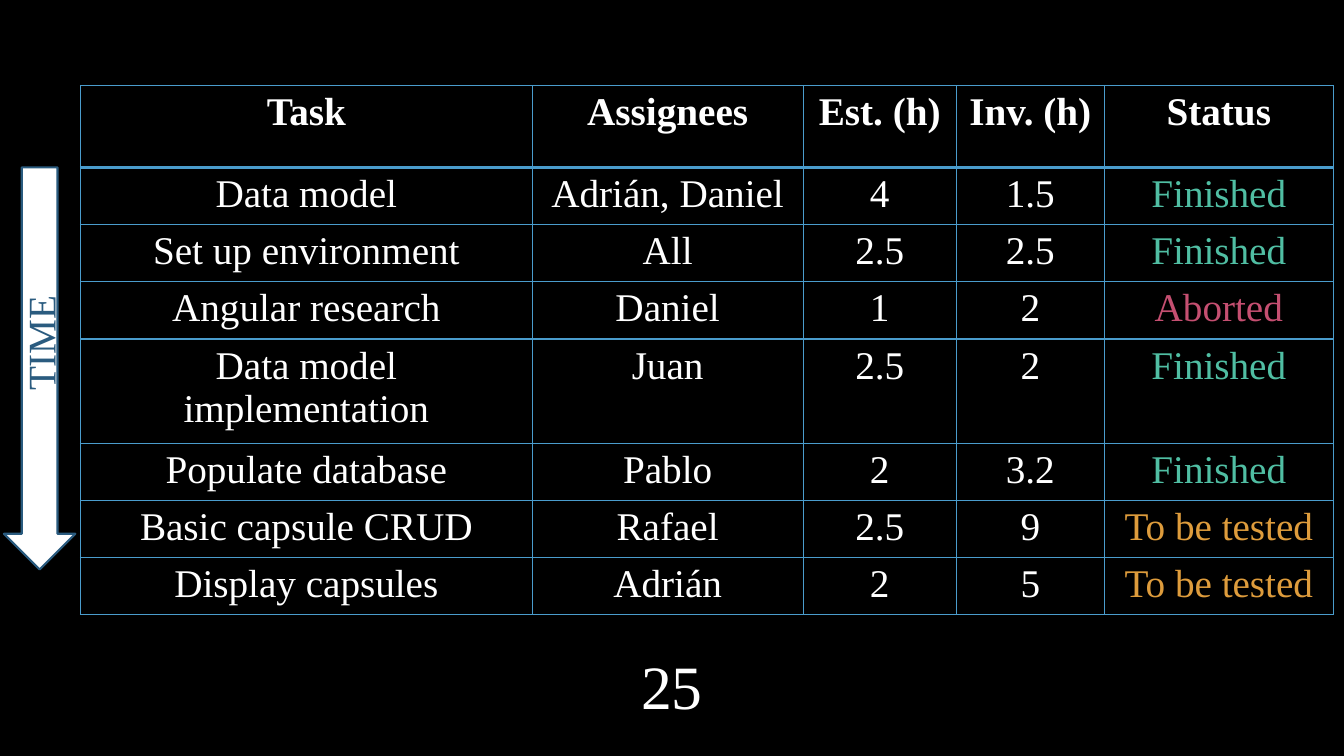
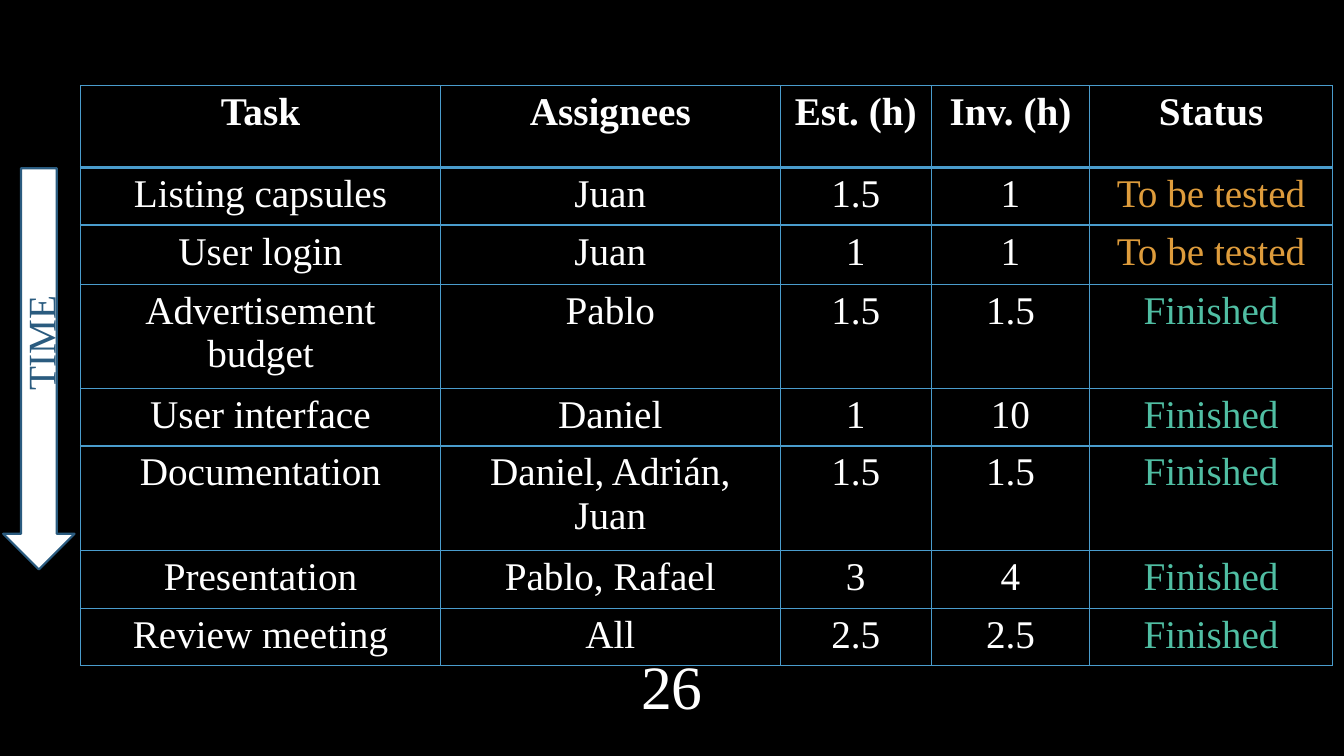
from lxml import etree
from pptx import Presentation
from pptx.dml.color import RGBColor
from pptx.enum.shapes import MSO_SHAPE as Shape
from pptx.enum.text import MSO_ANCHOR as Anchor, PP_ALIGN as Align
from pptx.oxml.ns import qn
from pptx.util import Cm, Pt

FONT = "Times New Roman"
BLACK, WHITE, GRID, NAVY = "000000", "FFFFFF", "4A9CCC", "2A5B7F"
STATUS_COLORS = {"Finished": "50BEA3", "Aborted": "C54F71", "To be tested": "DE9C3C"}
HEADER = ("Task", "Assignees", "Est. (h)", "Inv. (h)", "Status")

TABLE_BOX = (2.03, 2.16, 31.55, 12.99)
NUMBER_BOX = (15.32, 16.54, 3.23, 1.42)
TIME_BOX = (-0.84, 7.52, 3.71, 1.45)

SPRINTS = [
    {
        "number": "25",
        "arrow_box": (0.1, 4.22, 1.8, 10.13),
        "widths": (11.38, 6.83, 3.86, 3.73, 5.77),
        "heights": (2.06, 1.37, 1.4, 1.4, 2.44, 1.44, 1.44, 1.44),
        "tasks": [
            ("Data model", "Adrián, Daniel", "4", "1.5", "Finished"),
            ("Set up environment", "All", "2.5", "2.5", "Finished"),
            ("Angular research", "Daniel", "1", "2", "Aborted"),
            ("Data model implementation", "Juan", "2.5", "2", "Finished"),
            ("Populate database", "Pablo", "2", "3.2", "Finished"),
            ("Basic capsule CRUD", "Rafael", "2.5", "9", "To be tested"),
            ("Display capsules", "Adrián", "2", "5", "To be tested"),
        ],
    },
    {
        "number": "26",
        "arrow_box": (0.08, 4.24, 1.8, 10.11),
        "widths": (9.07, 8.56, 3.81, 3.99, 6.12),
        "heights": (2.06, 1.45, 1.49, 2.62, 1.45, 2.64, 1.45, 1.45),
        "tasks": [
            ("Listing capsules", "Juan", "1.5", "1", "To be tested"),
            ("User login", "Juan", "1", "1", "To be tested"),
            ("Advertisement budget", "Pablo", "1.5", "1.5", "Finished"),
            ("User interface", "Daniel", "1", "10", "Finished"),
            ("Documentation", "Daniel, Adrián, Juan", "1.5", "1.5", "Finished"),
            ("Presentation", "Pablo, Rafael", "3", "4", "Finished"),
            ("Review meeting", "All", "2.5", "2.5", "Finished"),
        ],
    },
]


def rgb(value):
    return RGBColor.from_string(value)


def in_cm(box):
    return [Cm(length) for length in box]


def write(frame, text, color, size=28, bold=False, align=Align.CENTER):
    paragraph = frame.paragraphs[0]
    paragraph.alignment = align
    run = paragraph.add_run()
    run.text = text
    for name, value in {"name": FONT, "size": Pt(size), "bold": bold}.items():
        setattr(run.font, name, value)
    run.font.color.rgb = rgb(color)


def set_borders(cell, top, bottom):
    """Draw all four cell edges; top and bottom are widths in points."""
    properties = cell._tc.get_or_add_tcPr()
    edges = {"lnL": 1, "lnR": 1, "lnT": top, "lnB": bottom}
    for position, (tag, width) in enumerate(edges.items()):
        line = etree.Element(qn(f"a:{tag}"), w=str(Pt(width)))
        fill = etree.SubElement(line, qn("a:solidFill"))
        etree.SubElement(fill, qn("a:srgbClr"), val=GRID)
        properties.insert(position, line)


def add_task_table(slide, box, sprint):
    rows = [HEADER, *sprint["tasks"]]
    table = slide.shapes.add_table(len(rows), len(HEADER), *in_cm(box)).table
    table.horz_banding = False
    for column, width in zip(table.columns, sprint["widths"]):
        column.width = Cm(width)
    for index, (row, height, texts) in enumerate(zip(table.rows, sprint["heights"], rows)):
        row.height = Cm(height)
        for cell, text in zip(row.cells, texts):
            cell.fill.background()
            set_borders(cell, top=2 if index == 1 else 1, bottom=2 if index == 0 else 1)
            write(cell.text_frame, text, STATUS_COLORS.get(text, WHITE), bold=index == 0)


def add_time_arrow(slide, arrow_box, label_box):
    arrow = slide.shapes.add_shape(Shape.DOWN_ARROW, *in_cm(arrow_box))
    arrow.shadow.inherit = False
    arrow.fill.solid()
    arrow.fill.fore_color.rgb = rgb(WHITE)
    arrow.line.color.rgb = rgb(NAVY)
    arrow.line.width = Pt(1.5)

    label = slide.shapes.add_textbox(*in_cm(label_box))
    label.rotation = 270
    label.text_frame.word_wrap = True
    write(label.text_frame, "TIME", NAVY, align=Align.LEFT)


def add_page_number(slide, box, number):
    frame = slide.shapes.add_textbox(*in_cm(box)).text_frame
    frame.word_wrap = True
    frame.vertical_anchor = Anchor.MIDDLE
    write(frame, number, WHITE, size=44)


def add_sprint_slide(deck, sprint):
    slide = deck.slides.add_slide(deck.slide_layouts.get_by_name("Blank"))
    add_page_number(slide, NUMBER_BOX, sprint["number"])
    add_task_table(slide, TABLE_BOX, sprint)
    add_time_arrow(slide, sprint["arrow_box"], TIME_BOX)


def main():
    deck = Presentation()
    deck.slide_width, deck.slide_height = Cm(33.87), Cm(19.05)
    backdrop = deck.slide_master.background.fill
    backdrop.solid()
    backdrop.fore_color.rgb = rgb(BLACK)
    for sprint in SPRINTS:
        add_sprint_slide(deck, sprint)
    deck.save("out.pptx")


if __name__ == "__main__":
    main()
